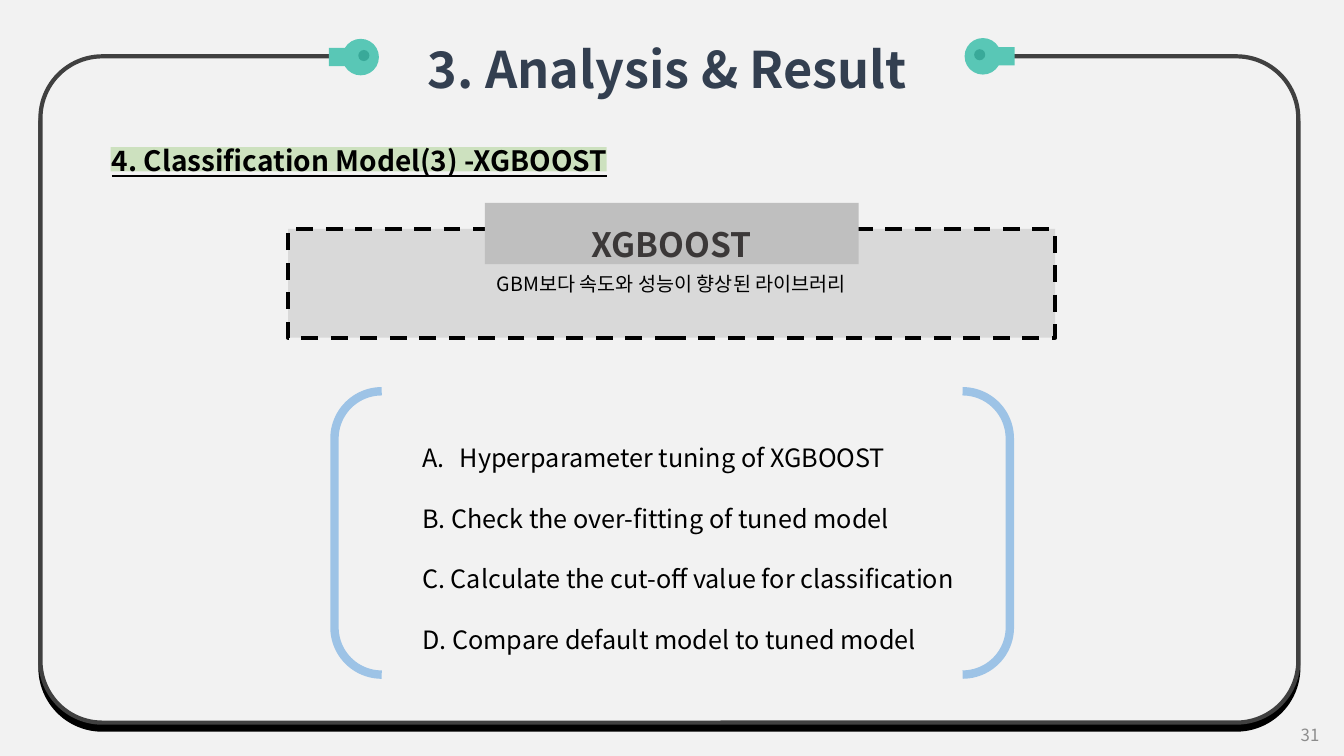
import math
from dataclasses import dataclass
from typing import Optional

from lxml import etree
from pptx import Presentation
from pptx import util as u
from pptx.dml.color import RGBColor
from pptx.enum import dml, shapes, text
from pptx.oxml import ns

FONT = "Noto Sans CJK KR"
COLORS = {
    "paper": "F2F2F2", "frame": "404040", "title": "333F50", "black": "000000",
    "plug": "59C7B6", "dot": "39A999", "panel": "D9D9D9", "label": "BFBFBF",
    "label_text": "3B3838", "bracket": "9DC3E6", "highlight": "A9D18E",
    "number": "8C8C8C",
}
SHAPE = shapes.MSO_SHAPE
ALIGN = text.PP_ALIGN
ANCHOR = text.MSO_ANCHOR


@dataclass
class Writing:
    lines: tuple[str, ...]
    size: float
    color: str = "black"
    align: ALIGN = ALIGN.LEFT
    anchor: ANCHOR = ANCHOR.MIDDLE
    spacing: float = 1
    bold: bool = False
    underline: bool = False
    top_inset: float = 0.13


@dataclass
class Box:
    left: float
    top: float
    width: float
    height: float
    kind: Optional[SHAPE] = SHAPE.RECTANGLE
    fill: Optional[str] = None
    line: Optional[str] = None
    line_width: float = 3
    dashed: bool = False
    writing: Optional[Writing] = None


@dataclass
class Plug:
    x: float
    y: float
    tail: int


FRAME = Box(1.02, 1.42, 31.7, 16.79, SHAPE.ROUNDED_RECTANGLE, "paper", "frame")
TITLE = Box(8.31, 0.08, 17.02, 2.57, fill="paper", writing=Writing(
    ("3. Analysis & Result",), 36, "title", ALIGN.CENTER, ANCHOR.TOP, 1.5, bold=True))
PLUGS = (Plug(24.77, 1.42, 1), Plug(9.09, 1.44, -1))
PANEL = Box(7.26, 5.77, 19.33, 2.74, fill="panel", line="black", dashed=True, writing=Writing(
    ("GBM보다 속도와 성능이 향상된 라이브러리",), 14, align=ALIGN.CENTER,
    anchor=ANCHOR.TOP, top_inset=1.07))
STEPS = Box(10.39, 10.24, 14.05, 6.4, None, writing=Writing((
    "Hyperparameter tuning of XGBOOST",
    "B. Check the over-fitting of tuned model",
    "C. Calculate the cut-off value for classification",
    "D. Compare default model to tuned model"), 18, spacing=2))
BRACKETS = Box(8.43, 9.86, 17.02, 7.14, SHAPE.DOUBLE_BRACKET, line="bracket", line_width=6)
LABEL = Box(12.22, 5.11, 9.42, 1.55, fill="label", writing=Writing(
    ("XGBOOST",), 24, "label_text", ALIGN.CENTER, spacing=1.5, bold=True))
HIGHLIGHT = Box(2.79, 3.71, 12.5, 0.61, fill="highlight")
HEADING = Box(2.57, 3.15, 18.82, 1.37, None, writing=Writing(
    ("4. Classification Model(3) -XGBOOST",), 20, spacing=1.5, bold=True, underline=True))
NUMBER = Box(25.88, 18.01, 7.62, 1.02, None, writing=Writing(
    ("31",), 12, "number", ALIGN.RIGHT))


def rgb(name: str) -> RGBColor:
    return RGBColor.from_string(COLORS[name])


def add_child(parent, tag: str, **attributes: str):
    return etree.SubElement(parent, ns.qn(tag), attributes)


def paint(shape, fill: Optional[str], line: Optional[str] = None) -> None:
    shape.shadow.inherit = False
    if fill:
        shape.fill.solid()
        shape.fill.fore_color.rgb = rgb(fill)
    else:
        shape.fill.background()
    if line:
        shape.line.color.rgb = rgb(line)
    else:
        shape.line.fill.background()


def write(shape, writing: Writing) -> None:
    frame = shape.text_frame
    frame.text = "\n".join(writing.lines)
    frame.word_wrap = True
    frame.vertical_anchor = writing.anchor
    frame.margin_top = u.Cm(writing.top_inset)
    for paragraph in frame.paragraphs:
        paragraph.alignment = writing.align
        paragraph.line_spacing = writing.spacing
        for run in paragraph.runs:
            font = run.font
            font.size = u.Pt(writing.size)
            font.bold = writing.bold
            font.underline = writing.underline
            font.color.rgb = rgb(writing.color)
            font.name = FONT
            add_child(run._r.get_or_add_rPr(), "a:ea", typeface=FONT)


def draw_box(slide, box: Box):
    area = [u.Cm(value) for value in (box.left, box.top, box.width, box.height)]
    if box.kind is None:
        shape = slide.shapes.add_textbox(*area)
    else:
        shape = slide.shapes.add_shape(box.kind, *area)
        paint(shape, box.fill, box.line)
        if box.line:
            shape.line.width = u.Pt(box.line_width)
        if box.dashed:
            shape.line.dash_style = dml.MSO_LINE.DASH
    if box.writing:
        write(shape, box.writing)
    return shape


def draw_plug(slide, plug: Plug) -> None:
    radius, reach, dot_radius = 0.46, 0.8, 0.14
    half_tail = radius / 2
    group = slide.shapes.add_group_shape()
    points = [(reach, -half_tail)]
    for degrees in range(-30, -331, -15):
        angle = math.radians(degrees)
        points.append((radius * math.cos(angle), radius * math.sin(angle)))
    points.append((reach, half_tail))
    corners = [(u.Cm(plug.x + plug.tail * x), u.Cm(plug.y + y)) for x, y in points]
    builder = group.shapes.build_freeform(*corners[0])
    builder.add_line_segments(corners[1:], close=True)
    paint(builder.convert_to_shape(), "plug")
    dot = group.shapes.add_shape(
        SHAPE.OVAL, u.Cm(plug.x - plug.tail * 0.08 - dot_radius),
        u.Cm(plug.y - 0.04 - dot_radius), u.Cm(2 * dot_radius), u.Cm(2 * dot_radius))
    paint(dot, "dot")


def drop_shadow(shape) -> None:
    effects = shape._element.spPr.find(ns.qn("a:effectLst"))
    shadow = add_child(effects, "a:outerShdw", blurRad="0", dist=str(u.Pt(5)),
                       dir="5400000", algn="t", rotWithShape="0")
    add_child(shadow, "a:srgbClr", val=COLORS["black"])


def number_with_letters(paragraph) -> None:
    properties = paragraph._p.get_or_add_pPr()
    properties.set("marL", str(u.Cm(0.95)))
    properties.set("indent", str(u.Cm(-0.95)))
    add_child(properties, "a:buFont", typeface=FONT)
    add_child(properties, "a:buAutoNum", type="alphaUcPeriod")


def main() -> None:
    presentation = Presentation()
    presentation.slide_width = u.Cm(33.87)
    presentation.slide_height = u.Cm(19.05)
    slide = presentation.slides.add_slide(presentation.slide_layouts[6])
    slide.background.fill.solid()
    slide.background.fill.fore_color.rgb = rgb("paper")

    frame = draw_box(slide, FRAME)
    frame.adjustments[0] = 0.093
    drop_shadow(frame)
    draw_box(slide, TITLE)
    for plug in PLUGS:
        draw_plug(slide, plug)
    draw_box(slide, PANEL)
    steps = draw_box(slide, STEPS)
    number_with_letters(steps.text_frame.paragraphs[0])
    for box in (BRACKETS, LABEL):
        draw_box(slide, box)
    highlight = draw_box(slide, HIGHLIGHT)
    color = highlight._element.spPr.find(ns.qn("a:solidFill"))[0]
    add_child(color, "a:alpha", val="50000")
    for box in (HEADING, NUMBER):
        draw_box(slide, box)
    presentation.save("out.pptx")


if __name__ == "__main__":
    main()
